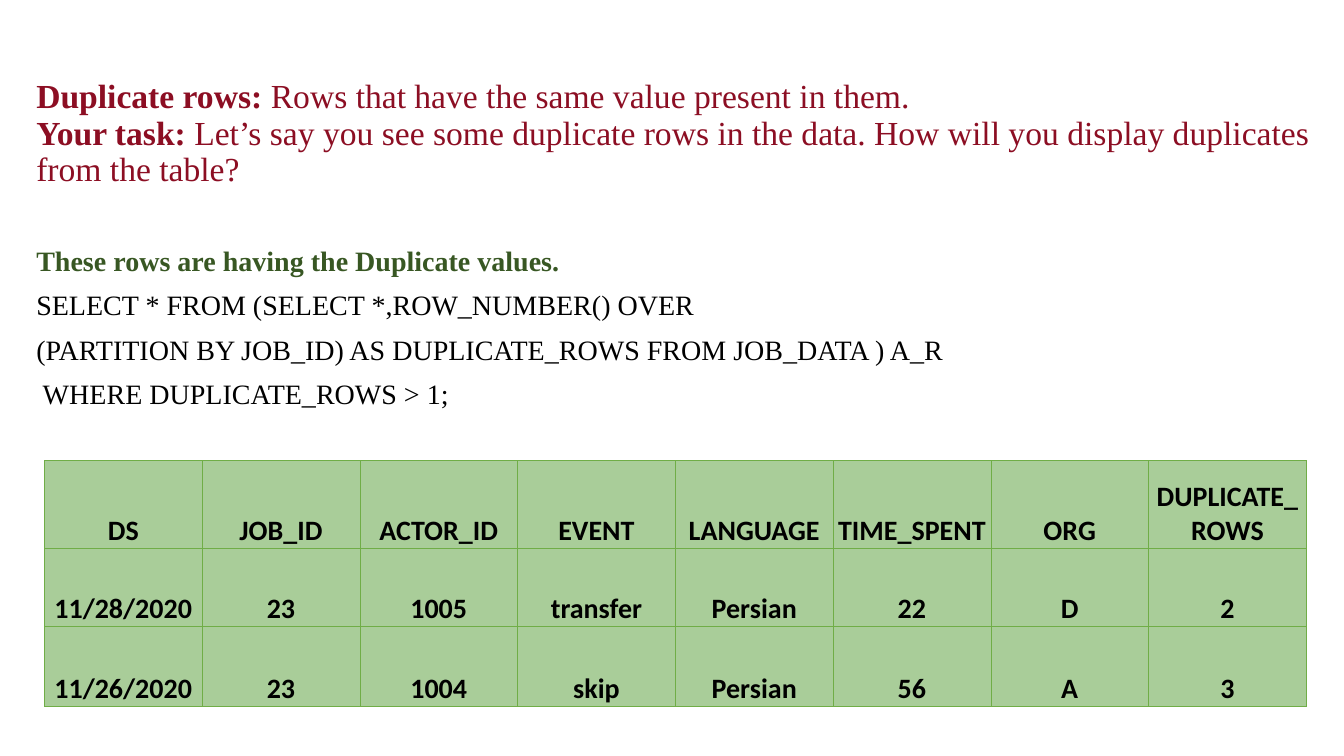
import pptx
import pptx.dml.color
import pptx.enum.text
import pptx.oxml
import pptx.oxml.ns
import pptx.util
from dataclasses import dataclass
from pptx.util import Cm, Pt

# Each paragraph is a list of lines; each line is a list of (text, bold) runs.
TASK = [
    [("Duplicate rows:\u00a0", True), ("Rows that have the same value present in them.", False)],
    [("Your task:", True), ("\u00a0Let’s say you see some duplicate rows in the data. "
                            "How will you display duplicates from the table?", False)],
]
ANSWER = [[("These rows are having the Duplicate values.", True)]]
QUERY = [
    "SELECT * FROM (SELECT *,ROW_NUMBER() OVER",
    "(PARTITION BY JOB_ID) AS DUPLICATE_ROWS FROM JOB_DATA ) A_R",
    " WHERE DUPLICATE_ROWS > 1;",
]
RESULT = [
    ("DS", "JOB_ID", "ACTOR_ID", "EVENT", "LANGUAGE", "TIME_SPENT", "ORG", "DUPLICATE_ROWS"),
    ("11/28/2020", "23", "1005", "transfer", "Persian", "22", "D", "2"),
    ("11/26/2020", "23", "1004", "skip", "Persian", "56", "A", "3"),
]
ROW_HEIGHTS = (Cm(2.22), Cm(1.96), Cm(2.02))
TABLE_WIDTH = Cm(31.8)


@dataclass(frozen=True)
class Theme:
    text_font: str = "Times New Roman"
    table_font: str = "Calibri"
    task_color: str = "8C0E23"
    answer_color: str = "385723"
    ink: str = "000000"
    cell_fill: str = "A9CD99"
    border: str = "70AD47"
    task_size: int = 24
    body_size: int = 20
    border_width: float = 0.5


THEME = Theme()


def rgb(color):
    return pptx.dml.color.RGBColor.from_string(color)


def format_run(run, font, size, color, bold):
    run.font.name = font
    run.font.size = Pt(size)
    run.font.color.rgb = rgb(color)
    run.font.bold = bold


def write_paragraph(paragraph, lines, size, color, space_before):
    """Fill a body paragraph, unbulleted, with line breaks between its lines."""
    properties = paragraph._p.get_or_add_pPr()
    properties.set("marL", "0")
    properties.set("indent", "0")
    pptx.oxml.ns.qn("a:buNone")
    properties.append(pptx.oxml.parse_xml(f'<a:buNone {pptx.oxml.ns.nsdecls("a")}/>'))
    paragraph.line_spacing = 0.9
    paragraph.space_before = Pt(space_before)
    for number, line in enumerate(lines):
        if number:
            paragraph.add_line_break()
        for text, bold in line:
            run = paragraph.add_run()
            run.text = text
            format_run(run, THEME.text_font, size, color, bold)


def add_body(slide):
    body = slide.placeholders[1]
    body.left, body.top, body.width, body.height = Cm(0.66), Cm(0.61), Cm(32.66), Cm(17.88)
    frame = body.text_frame
    frame.auto_size = pptx.enum.text.MSO_AUTO_SIZE.NONE
    frame.vertical_anchor = pptx.enum.text.MSO_ANCHOR.TOP
    frame.margin_top = Cm(1.4)
    paragraphs = [
        (TASK, THEME.task_size, THEME.task_color, 0),
        (ANSWER, THEME.body_size, THEME.answer_color, 42),
    ] + [([[(line, False)]], THEME.body_size, THEME.ink, 10) for line in QUERY]
    for number, content in enumerate(paragraphs):
        paragraph = frame.add_paragraph() if number else frame.paragraphs[0]
        write_paragraph(paragraph, *content)


def add_borders(cell):
    """Insert the four edge lines ahead of the cell's fill, as the schema requires."""
    properties = cell._tc.get_or_add_tcPr()
    for position, edge in enumerate(("lnL", "lnR", "lnT", "lnB")):
        properties.insert(position, pptx.oxml.parse_xml(
            f'<a:{edge} {pptx.oxml.ns.nsdecls("a")} w="{int(Pt(THEME.border_width))}">'
            f'<a:solidFill><a:srgbClr val="{THEME.border}"/></a:solidFill></a:{edge}>'))


def format_cell(cell, text):
    cell.text = text
    cell.vertical_anchor = pptx.enum.text.MSO_ANCHOR.BOTTOM
    cell.margin_left = cell.margin_right = cell.margin_top = Cm(0.03)
    cell.margin_bottom = 0
    cell.fill.solid()
    cell.fill.fore_color.rgb = rgb(THEME.cell_fill)
    add_borders(cell)
    paragraph = cell.text_frame.paragraphs[0]
    paragraph.alignment = pptx.enum.text.PP_ALIGN.CENTER
    format_run(paragraph.runs[0], THEME.table_font, THEME.body_size, THEME.ink, True)


def add_result_table(slide):
    column_count = len(RESULT[0])
    table = slide.shapes.add_table(len(RESULT), column_count, Cm(1.12), Cm(11.6),
                                   TABLE_WIDTH, sum(ROW_HEIGHTS)).table
    for column in table.columns:
        column.width = TABLE_WIDTH // column_count
    for row, height, values in zip(table.rows, ROW_HEIGHTS, RESULT):
        row.height = height
        for cell, value in zip(row.cells, values):
            format_cell(cell, value)


def main():
    presentation = pptx.Presentation()
    presentation.slide_width, presentation.slide_height = Cm(33.87), Cm(19.05)
    slide = presentation.slides.add_slide(presentation.slide_layouts[1])
    title = slide.shapes.title
    title.element.getparent().remove(title.element)
    add_body(slide)
    add_result_table(slide)
    presentation.save("out.pptx")


if __name__ == "__main__":
    main()
